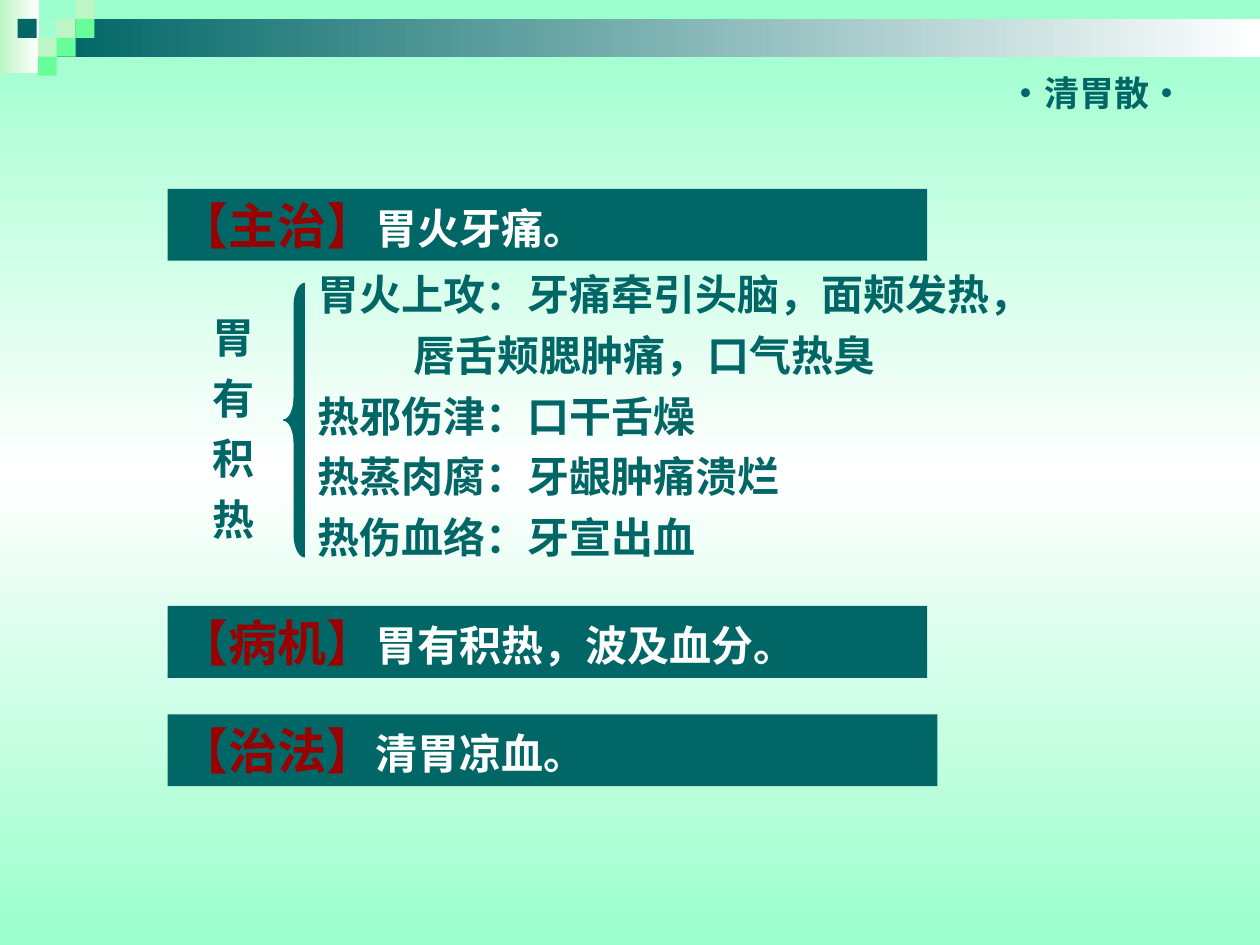
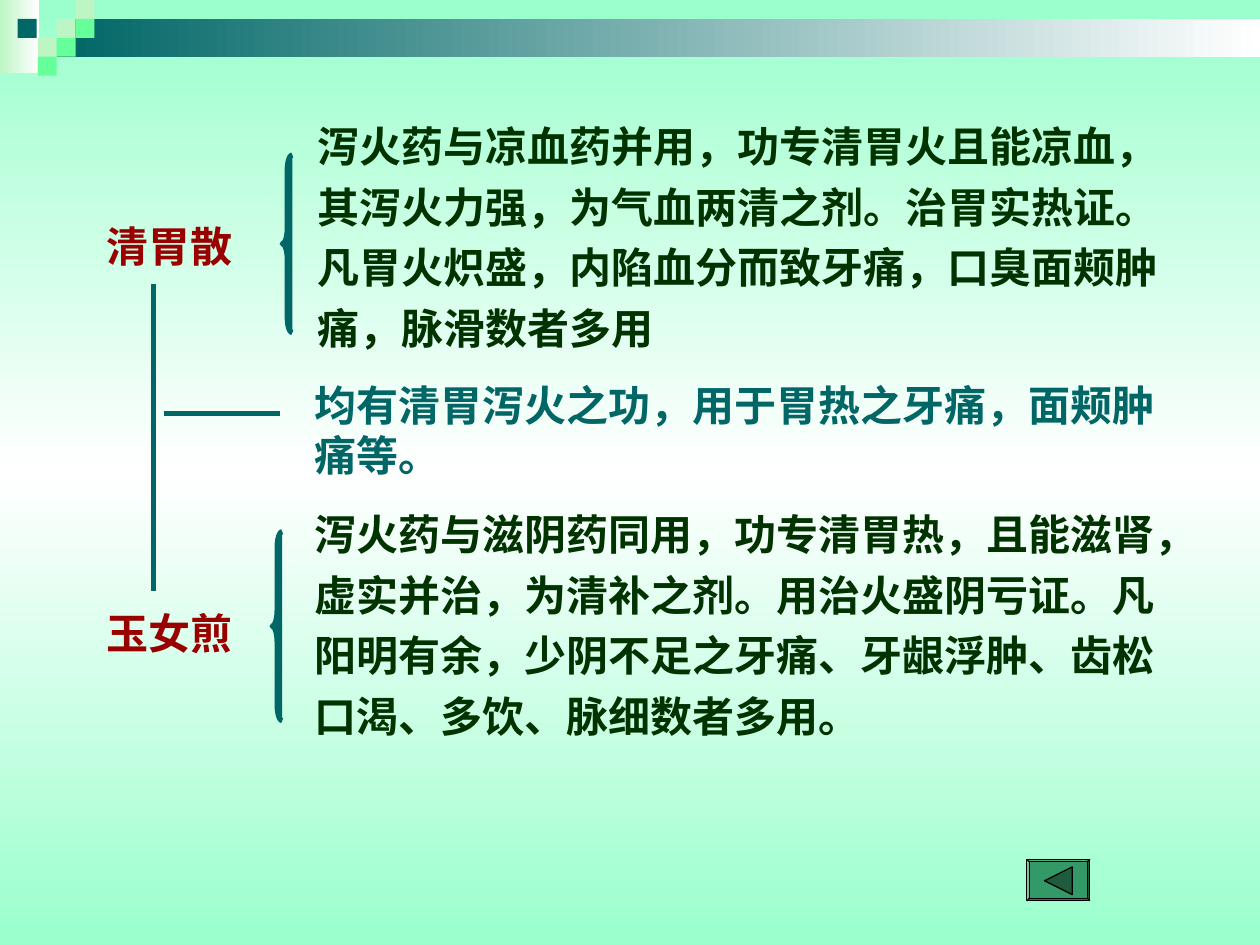
"""Build two slides on the formulas 清胃散 and 玉女煎."""
import copy
from dataclasses import dataclass

import pptx
import pptx.util
import pptx.dml.color
import pptx.enum.shapes
import pptx.enum.text
import pptx.oxml
import pptx.oxml.ns

Inches, Pt = pptx.util.Inches, pptx.util.Pt
RGB = pptx.dml.color.RGBColor.from_string
qn = pptx.oxml.ns.qn
MSO = pptx.enum.shapes.MSO_SHAPE


@dataclass(frozen=True)
class Theme:
    teal: str = "006666"
    red: str = "990000"
    ink: str = "003300"
    white: str = "FFFFFF"
    mint: str = "99FFCC"
    pale: str = "BDF5C5"
    green: str = "66FF99"
    button: str = "339966"
    arrow: str = "1F5C3D"
    black: str = "000000"
    sans: str = "Noto Sans CJK SC"
    serif: str = "Times New Roman"
    heading: int = 28
    body: int = 24
    tag: int = 20


T = Theme()


def add_shape(s, kind, box, colors, angle=0, line=None, weight=0.75):
    sp = s.shapes.add_shape(kind, *map(Inches, box))
    sp.shadow.inherit = False
    if len(colors) == 1:
        sp.fill.solid()
        sp.fill.fore_color.rgb = RGB(colors[0])
    else:
        sp.fill.gradient()
        sp.fill.gradient_angle = angle
        for stop, color in zip(sp.fill.gradient_stops, colors):
            stop.color.rgb = RGB(color)
    if line:
        sp.line.color.rgb = RGB(line)
        sp.line.width = Pt(weight)
    else:
        sp.line.fill.background()
    return sp


def add_text(s, box, lines, color, font, size=T.body, wrap=True, before=0, spacing=None):
    tf = s.shapes.add_textbox(*map(Inches, box)).text_frame
    tf.word_wrap = wrap
    for i, line in enumerate(lines):
        p = tf.paragraphs[0] if i == 0 else tf.add_paragraph()
        p.text = line
        p.line_spacing = spacing
        if i:
            p.space_before = Pt(before)
        p.font.name, p.font.size, p.font.bold = font, Pt(size), True
        p.font.color.rgb = RGB(color)
    return tf


prs = pptx.Presentation()
prs.slide_width, prs.slide_height = Inches(10), Inches(7.5)

tile = 0.15
tiles = [
    (0.45, 0.15, T.pale), (0.6, 0, T.pale), (0.6, 0.15, T.green), (0.3, 0.3, T.pale),
    (0.14, 0.15, T.teal), (0.45, 0.3, T.green), (0.3, 0.45, T.green),
]
for _ in range(2):
    s = prs.slides.add_slide(prs.slide_layouts[6])
    fill = s.background.fill
    fill.gradient()
    fill.gradient_angle = 90
    stops = s.element.find(".//" + qn("a:gsLst"))
    stops.append(copy.deepcopy(stops[0]))
    for stop, position, color in zip(fill.gradient_stops, (0, 0.5, 1), (T.mint, T.white, T.mint)):
        stop.position = position
        stop.color.rgb = RGB(color)
    add_shape(s, MSO.RECTANGLE, (0, 0, 0.31, 0.58), (T.pale, T.white))
    add_shape(s, MSO.RECTANGLE, (0.45, 0.15, 9.55, 0.3), (T.teal, T.white))
    for x, y, color in tiles:
        add_shape(s, MSO.RECTANGLE, (x, y, tile, tile), (color,))

symptoms_slide, compare_slide = prs.slides

braces = [
    (symptoms_slide, (2.25, 2.25, 0.17, 2.17), 0.75),
    (compare_slide, (2.24, 1.23, 0.08, 1.41), 3),
    (compare_slide, (2.16, 4.22, 0.08, 1.5), 3),
]
for s, box, weight in braces:
    sp = add_shape(s, MSO.LEFT_BRACE, box, (T.teal,), line=T.teal, weight=weight)
    sp.adjustments[0] = box[3] / 12 / box[2]

s = symptoms_slide
symptoms = [
    "胃火上攻：牙痛牵引头脑，面颊发热，",
    "唇舌颊腮肿痛，口气热臭",
    "热邪伤津：口干舌燥",
    "热蒸肉腐：牙龈肿痛溃烂",
    "热伤血络：牙宣出血",
]
tf = add_text(s, (2.42, 2.08, 6.21, 2.43), symptoms, T.teal, T.sans, before=6)
tf.paragraphs[1]._p.get_or_add_pPr().set("marL", str(Inches(0.76)))
add_text(s, (1.59, 2.42, 0.53, 1.95), "胃有积热", T.teal, T.sans, wrap=False, before=6)
add_text(s, (7.91, 0.52, 1.73, 0.44), ["·清胃散·"], T.teal, T.sans, T.tag)

banners = [
    (1.5, 6.03, "【主治】", "胃火牙痛。"),
    (4.81, 6.03, "【病机】", "胃有积热，波及血分。"),
    (5.67, 6.11, "【治法】", "清胃凉血。"),
]
for y, width, heading, detail in banners:
    sp = add_shape(s, MSO.RECTANGLE, (1.33, y, width, 0.57), (T.teal,))
    tf = sp.text_frame
    tf.vertical_anchor = pptx.enum.text.MSO_ANCHOR.TOP
    p = tf.paragraphs[0]
    p.alignment = pptx.enum.text.PP_ALIGN.LEFT
    p.font.name, p.font.bold = T.sans, True
    for text, size, color in ((heading, T.heading, T.red), (detail, T.body, T.white)):
        r = p.add_run()
        r.text = text
        r.font.size = Pt(size)
        r.font.color.rgb = RGB(color)

s = compare_slide
for x1, y1, x2, y2 in ((1.22, 2.25, 1.22, 4.69), (1.3, 3.28, 2.22, 3.28)):
    link = s.shapes.add_connector(
        pptx.enum.shapes.MSO_CONNECTOR.STRAIGHT, *map(Inches, (x1, y1, x2, y2)))
    link.line.color.rgb = RGB(T.teal)
    link.line.width = Pt(3)
    link._element.spPr.append(pptx.oxml.parse_xml(
        '<a:effectLst xmlns:a="http://schemas.openxmlformats.org/drawingml/2006/main"/>'))

for y, formula in ((1.7, "清胃散"), (4.77, "玉女煎")):
    add_text(s, (0.75, y, 1.2, 0.5), [formula], T.red, T.serif, wrap=False)

notes = [
    ((2.42, 0.83, 6.92, 2.02), T.ink, 1.2,
     "泻火药与凉血药并用，功专清胃火且能凉血，其泻火力强，为气血两清之剂。治胃实热证。"
     "凡胃火炽盛，内陷血分而致牙痛，口臭面颊肿痛，脉滑数者多用"),
    ((2.4, 2.96, 7, 0.9), T.teal, None,
     "均有清胃泻火之功，用于胃热之牙痛，面颊肿痛等。"),
    ((2.4, 3.91, 7, 2.59), T.ink, 1.2,
     "泻火药与滋阴药同用，功专清胃热，且能滋肾，虚实并治，为清补之剂。用治火盛阴亏证。"
     "凡阳明有余，少阴不足之牙痛、牙龈浮肿、齿松口渴、多饮、脉细数者多用。"),
]
for box, color, spacing, text in notes:
    add_text(s, box, [text], color, T.serif, spacing=spacing)

sp = add_shape(s, MSO.BEVEL, (8.15, 6.82, 0.5, 0.33), (T.button,), line=T.black)
sp.adjustments[0] = 0.06
sp = add_shape(s, MSO.ISOSCELES_TRIANGLE, (8.29, 6.88, 0.22, 0.22), (T.arrow,), line=T.black)
sp.rotation = 270

prs.save("out.pptx")
